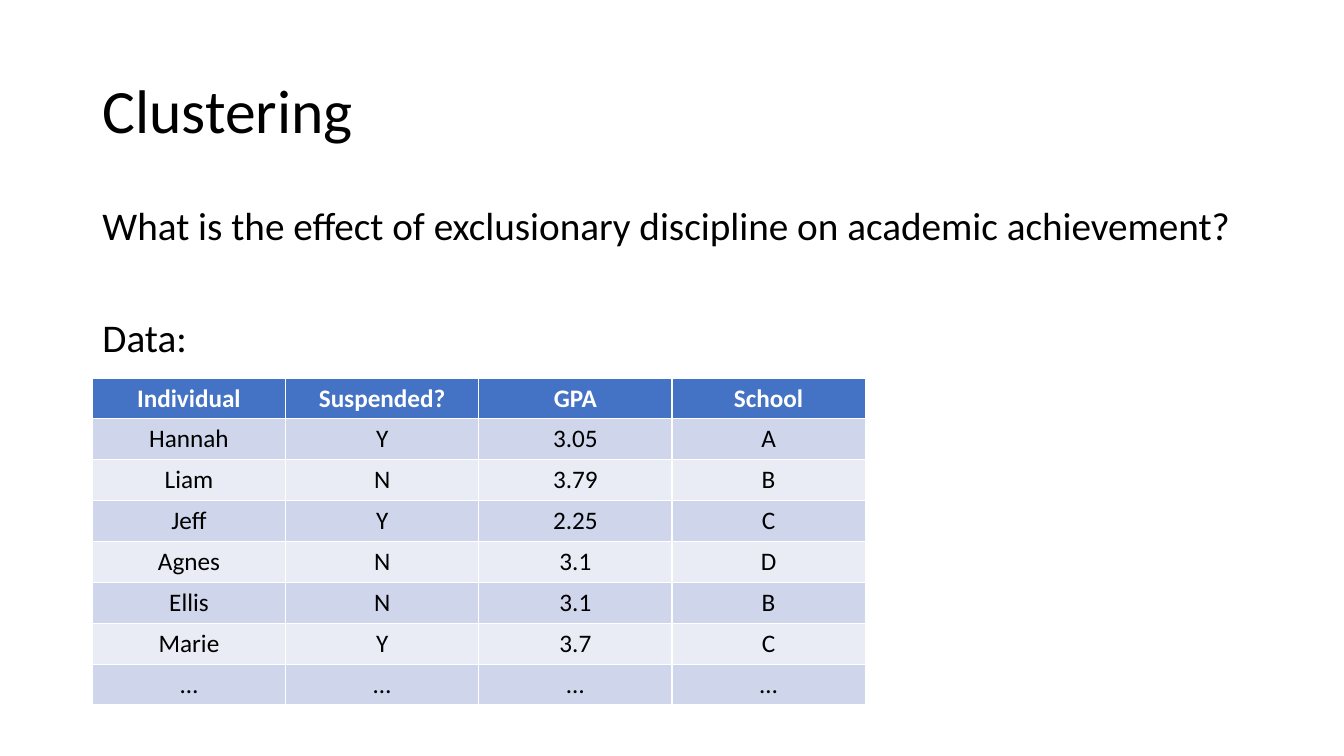
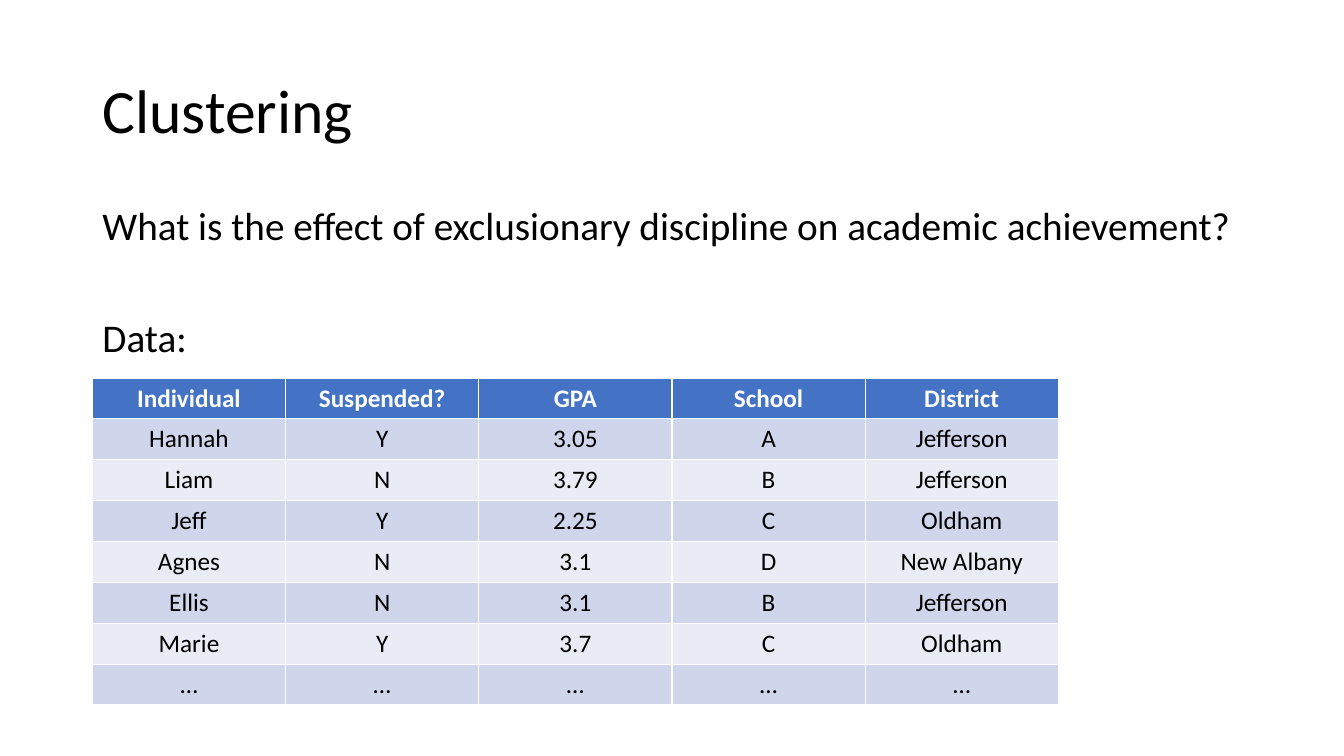
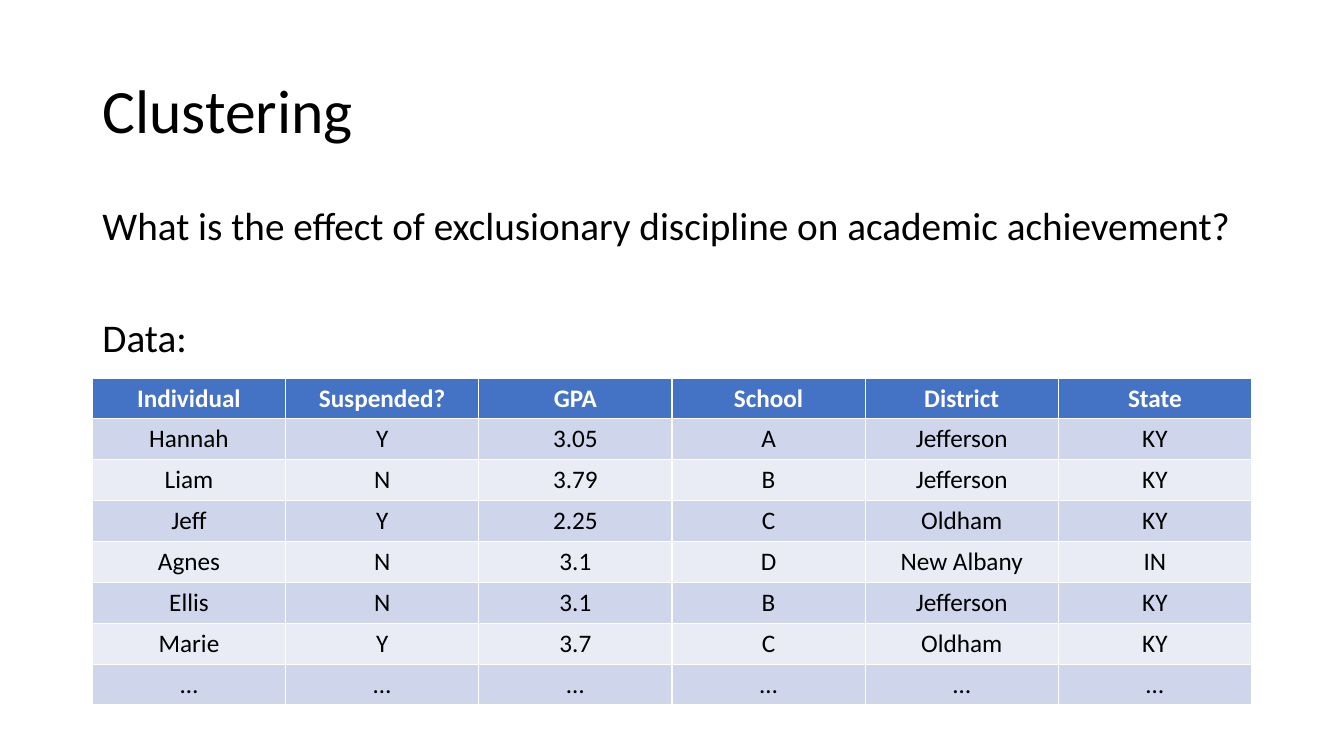
"""Build three slides on clustering, each adding one level to the data table."""
import pptx
import pptx.dml.color
import pptx.enum.text
import pptx.util

Pt = pptx.util.Pt
ALIGN = pptx.enum.text.PP_ALIGN
ANCHOR = pptx.enum.text.MSO_ANCHOR

FONT = "Calibri"
COLORS = {
    "text": "000000",
    "header_text": "FFFFFF",
    "header": "4472C4",
    "dark_band": "CFD5EA",
    "light_band": "E9EBF5",
}

TITLE_BOX = (66, 28.75, 828, 104.4)
BODY_BOX = (66, 144, 828, 342.6)
TABLE_BOX = (66, 270, 828, 233.6)
TITLE = "Clustering"
QUESTION = "What is the effect of exclusionary discipline on academic achievement?"
RECORDS = [
    ("Individual", "Suspended?", "GPA", "School", "District", "State"),
    ("Hannah", "Y", "3.05", "A", "Jefferson", "KY"),
    ("Liam", "N", "3.79", "B", "Jefferson", "KY"),
    ("Jeff", "Y", "2.25", "C", "Oldham", "KY"),
    ("Agnes", "N", "3.1", "D", "New Albany", "IN"),
    ("Ellis", "N", "3.1", "B", "Jefferson", "KY"),
    ("Marie", "Y", "3.7", "C", "Oldham", "KY"),
    ("…",) * 6,
]


def rgb(name):
    """Return the named colour."""
    return pptx.dml.color.RGBColor.from_string(COLORS[name])


def place(shape, box):
    """Move a shape to a box given in points."""
    shape.left, shape.top, shape.width, shape.height = map(Pt, box)


def format_paragraph(paragraph, size, alignment, color="text", bold=False):
    """Format a paragraph and its runs."""
    paragraph.alignment = alignment
    for run in paragraph.runs:
        run.font.name = FONT
        run.font.size = Pt(size)
        run.font.bold = bold
        run.font.color.rgb = rgb(color)


def fill_title(shape, box):
    """Write the title."""
    place(shape, box)
    frame = shape.text_frame
    frame.text = TITLE
    frame.auto_size = pptx.enum.text.MSO_AUTO_SIZE.NONE
    frame.vertical_anchor = ANCHOR.MIDDLE
    paragraph = frame.paragraphs[0]
    paragraph.line_spacing = 0.9
    format_paragraph(paragraph, 44, ALIGN.LEFT)


def fill_body(shape, box):
    """Write the question and the table's label without bullets."""
    place(shape, box)
    frame = shape.text_frame
    frame.text = f"{QUESTION}\nData:"
    frame.auto_size = pptx.enum.text.MSO_AUTO_SIZE.NONE
    frame.vertical_anchor = ANCHOR.TOP
    for paragraph, space in zip(frame.paragraphs, (10, 50)):
        paragraph.line_spacing = 0.9
        paragraph.space_before = Pt(space)
        format_paragraph(paragraph, 28, ALIGN.LEFT)
        properties = paragraph._p.get_or_add_pPr()
        properties.set("marL", "0")
        properties.set("indent", "0")
        properties.append(pptx.oxml.xmlchemy.OxmlElement("a:buNone"))


def add_records(slide, box, column_count):
    """Add the table with its first columns, each a sixth of the box wide."""
    left, top, width, height = box
    column_width = width / len(RECORDS[0])
    table = slide.shapes.add_table(
        len(RECORDS), column_count, Pt(left), Pt(top),
        Pt(column_width * column_count), Pt(height)).table
    for row_index, record in enumerate(RECORDS):
        is_header = row_index == 0
        band = "header" if is_header else ("light_band", "dark_band")[row_index % 2]
        color = "header_text" if is_header else "text"
        for cell, value in zip(table.rows[row_index].cells, record):
            cell.fill.solid()
            cell.fill.fore_color.rgb = rgb(band)
            cell.text_frame.text = value
            format_paragraph(cell.text_frame.paragraphs[0], 18, ALIGN.CENTER,
                             color, is_header)


def add_clustering_slide(presentation, column_count):
    """Add one slide with title, question and table."""
    slide = presentation.slides.add_slide(presentation.slide_layouts[1])
    fill_title(slide.shapes.title, TITLE_BOX)
    fill_body(slide.placeholders[1], BODY_BOX)
    add_records(slide, TABLE_BOX, column_count)


def main():
    """Build and save the presentation."""
    presentation = pptx.Presentation()
    presentation.slide_width, presentation.slide_height = Pt(960), Pt(540)
    for column_count in (4, 5, 6):
        add_clustering_slide(presentation, column_count)
    presentation.save("out.pptx")


main()
